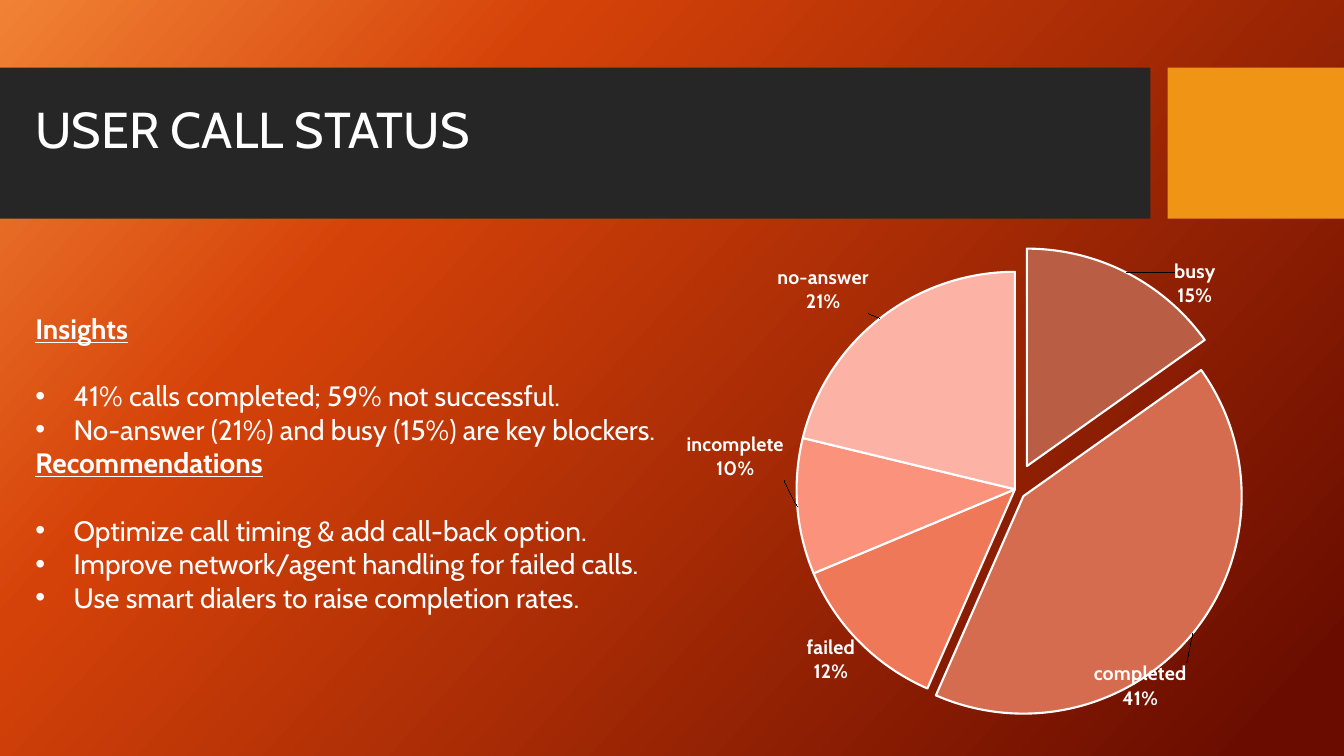
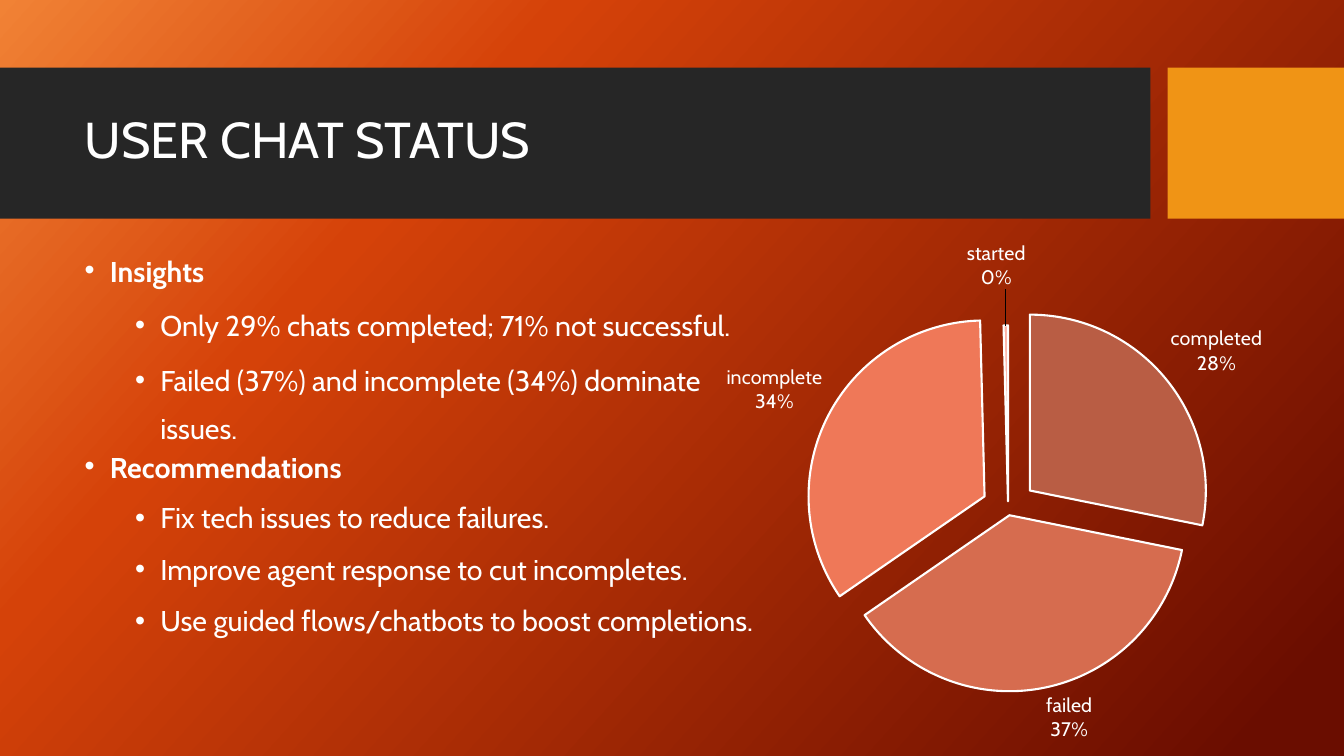
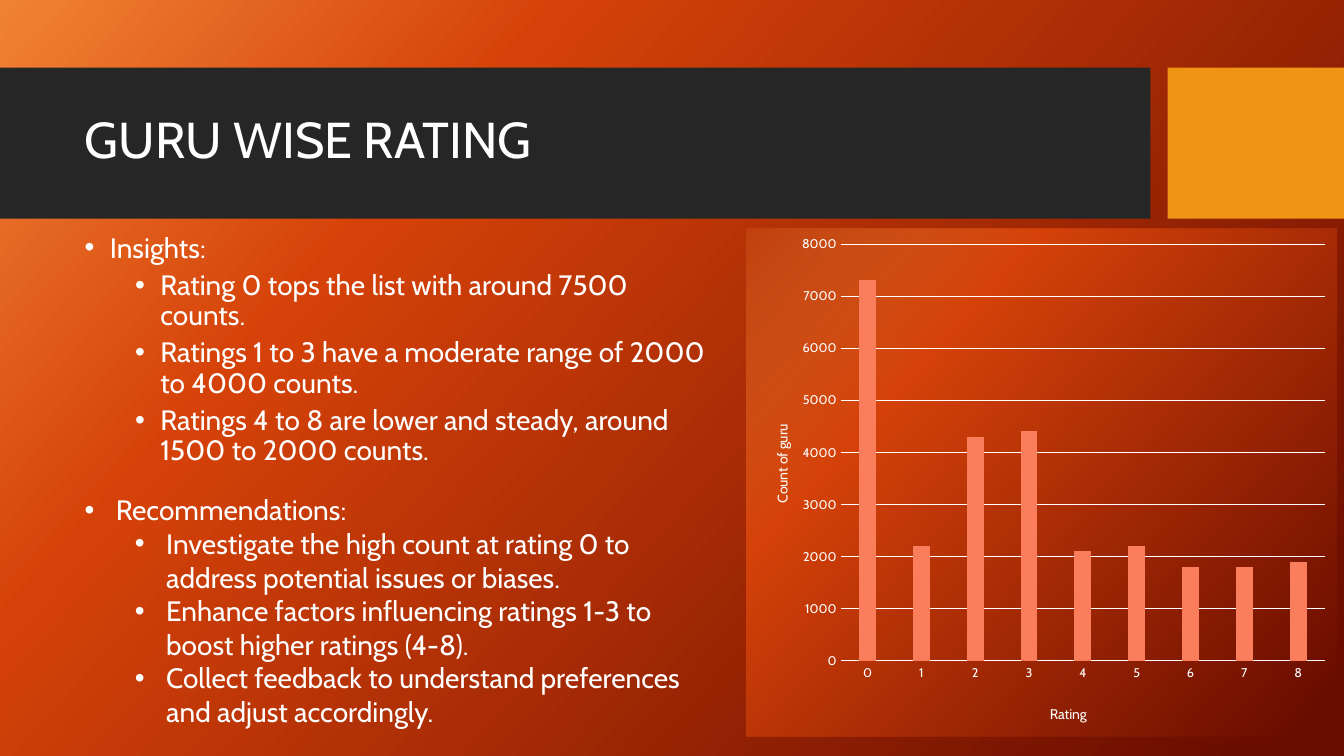
"""Build three slides on call status, chat status and ratings."""
from copy import deepcopy
from dataclasses import dataclass, replace

from pptx import Presentation
from pptx.chart.chart import Chart
from pptx.chart.data import CategoryChartData
from pptx.dml.color import RGBColor
from pptx.enum.chart import XL_CHART_TYPE, XL_LABEL_POSITION, XL_TICK_MARK
from pptx.enum.shapes import MSO_SHAPE
from pptx.enum.text import MSO_ANCHOR, MSO_AUTO_SIZE, PP_ALIGN
from pptx.oxml import parse_xml
from pptx.oxml.ns import nsdecls, qn
from pptx.slide import Slide
from pptx.text.text import Font, TextFrame
from pptx.util import Inches, Pt

PIE, COLUMN = XL_CHART_TYPE.PIE, XL_CHART_TYPE.COLUMN_CLUSTERED
OUTSIDE, NO_TICK = XL_LABEL_POSITION.OUTSIDE_END, XL_TICK_MARK.NONE
RECT, LEFT, NO_FIT = MSO_SHAPE.RECTANGLE, PP_ALIGN.LEFT, MSO_AUTO_SIZE.NONE
TOP, MIDDLE = MSO_ANCHOR.TOP, MSO_ANCHOR.MIDDLE

FACE = "Cabin"
WHITE, DARK, AMBER, CORAL = "FFFFFF", "262626", "F09415", "FA7E5C"
STOPS = ((0, "F18235"), (28, "D54209"), (95, "6A0D00"))
SLICES = ("B95D44", "D66C4F", "EF7858", "FB927B", "FCB2A5", "FDCCC4")
FLAGS = {"LegendKey": 0, "Val": 0, "CatName": 1, "SerName": 0, "Percent": 1, "BubbleSize": 0}


@dataclass(frozen=True)
class Box:
    """A place on the slide, in inches."""
    left: float
    top: float
    width: float
    height: float

    def emu(self) -> tuple:
        """Return the four lengths."""
        return tuple(Inches(n) for n in (self.left, self.top, self.width, self.height))


@dataclass(frozen=True)
class Band:
    """A filled bar behind every title."""
    box: Box
    fill: str


@dataclass(frozen=True)
class Style:
    """How a line of a list is set."""
    left: float = 0
    hang: float = 0
    level: int = 0
    space: float = 1.0
    before: float = 0
    bold: bool = False
    under: bool = False


@dataclass(frozen=True)
class Line:
    """One line of a list."""
    text: str
    style: Style


@dataclass(frozen=True)
class Slice:
    """One part of a pie; nudge moves its label."""
    name: str
    value: float | None
    burst: int | None = None
    nudge: tuple | None = None


@dataclass(frozen=True)
class Pie:
    """A pie chart with its inner plot frame."""
    box: Box
    plot: dict
    slices: tuple
    bold: bool = False
    burst: int = 0
    hidden: tuple = ()


BANDS = (Band(Box(0, 0.67, 11.41, 1.5), DARK), Band(Box(11.58, 0.67, 1.75, 1.5), AMBER))
TITLE = Box(0.74, 0.82, 10.51, 1.18)

HEAD = Style(bold=True, under=True)
ITEM = Style(0.38, 0.38)
FIRST = replace(ITEM, before=24)
CALLS = (
    Line("Insights", HEAD),
    Line("41% calls completed; 59% not successful.", FIRST),
    Line("No-answer (21%) and busy (15%) are key blockers.", ITEM),
    Line("Recommendations", HEAD),
    Line("Optimize call timing & add call-back option.", FIRST),
    Line("Improve network/agent handling for failed calls.", ITEM),
    Line("Use smart dialers to raise completion rates.", ITEM),
)
TOPIC = Style(0.25, 0.25, space=0.7, before=10, bold=True)
LOOSE = Style(0.75, 0.25, level=1, space=1.4, before=5)
SNUG = replace(LOOSE, space=1.3)
CHATS = (
    Line("Insights", TOPIC),
    Line("Only 29% chats completed; 71% not successful.", LOOSE),
    Line("Failed (37%) and incomplete (34%) dominate issues.", LOOSE),
    Line("Recommendations", TOPIC),
    Line("Fix tech issues to reduce failures.", SNUG),
    Line("Improve agent response to cut incompletes.", SNUG),
    Line("Use guided flows/chatbots to boost completions.", SNUG),
)
TIGHT = replace(LOOSE, space=0.9)
FACTS = (
    Line("Insights:", replace(TOPIC, space=0.9, bold=False)),
    Line("Rating 0 tops the list with around 7500 counts.", TIGHT),
    Line("Ratings 1 to 3 have a moderate range of 2000 to 4000 counts.", TIGHT),
    Line("Ratings 4 to 8 are lower and steady, around 1500 to 2000 counts.", TIGHT),
)
STEP = Style(0.81, 0.31, level=1)
STEPS = (
    Line("Recommendations:", Style(0.31, 0.31)),
    Line("Investigate the high count at rating 0 to address potential issues or biases.", STEP),
    Line("Enhance factors influencing ratings 1-3 to boost higher ratings (4-8).", STEP),
    Line("Collect feedback to understand preferences and adjust accordingly.", STEP),
)

CALL_PIE = Pie(
    Box(6.58, 2.09, 7.34, 5), {"x": 0.18, "y": 0.12, "w": 0.59, "h": 0.87},
    (Slice("busy", 15, 12, (0.06, 0.08)), Slice("completed", 41, 5, (-0.14, 0.05)),
     Slice("failed", 12, nudge=(0, -0.02)), Slice("incomplete", 10, nudge=(-0.01, -0.1)),
     Slice("no-answer", 21, nudge=(-0.01, 0)), Slice("(blank)", None)), bold=True)
CHAT_PIE = Pie(
    Box(5.39, 1.74, 9.31, 5.9), {"x": 0.3, "y": 0.23, "w": 0.39, "h": 0.66},
    (Slice("completed", 28, 16), Slice("failed", 37), Slice("incomplete", 34, 15),
     Slice("pending", 0), Slice("started", 0.4, nudge=(-0.01, -0.05)),
     Slice("(blank)", None)), burst=4, hidden=(3,))
COUNTS = (7300, 2200, 4300, 4400, 2100, 2200, 1800, 1800, 1900)


def shade(target, colour: str) -> None:
    """Give a fill or line one solid colour."""
    fill = getattr(target, "fill", target)
    fill.solid()
    fill.fore_color.rgb = RGBColor.from_string(colour)


def dress(font: Font, size: float, bold: bool = False) -> None:
    """Set the shared face and colour."""
    font.name, font.size, font.bold = FACE, Pt(size), bold
    font.color.rgb = RGBColor.from_string(WHITE)


def glow(alpha: int = 100):
    """Return the slanted gradient; alpha is that of its first stop."""
    stops = "".join(
        f'<a:gs pos="{pos * 1000}"><a:srgbClr val="{tone}">'
        f'<a:alpha val="{(100 if pos else alpha) * 1000}"/></a:srgbClr></a:gs>'
        for pos, tone in STOPS)
    return parse_xml(f'<a:gradFill {nsdecls("a")} rotWithShape="1"><a:gsLst>{stops}</a:gsLst>'
                     f'<a:lin ang="{42 * 60000}" scaled="0"/></a:gradFill>')


def node(tag: str, inner: str = "", value: float | None = None):
    """Return a new chart element."""
    val = "" if value is None else f' val="{value}"'
    return parse_xml(f'<c:{tag} {nsdecls("c")}{val}>{inner}</c:{tag}>')


def place(host, spot: int, where: dict, edge: bool = True) -> None:
    """Put a manual layout into a chart part."""
    old = host.find(qn("c:layout"))
    if old is not None:
        host.remove(old)
    target = '<c:layoutTarget val="inner"/>' if "w" in where else ""
    modes = '<c:xMode val="edge"/><c:yMode val="edge"/>' if edge else ""
    sides = "".join(f'<c:{key} val="{num}"/>' for key, num in where.items())
    host.insert(spot, node("layout", f"<c:manualLayout>{target}{modes}{sides}</c:manualLayout>"))


def write(frame: TextFrame, lines: tuple, size: float, anchor=TOP) -> None:
    """Fill a frame with a list."""
    frame.word_wrap, frame.auto_size, frame.vertical_anchor = True, NO_FIT, anchor
    frame.text = "\n".join(line.text for line in lines)
    for rank, (para, line) in enumerate(zip(frame.paragraphs, lines)):
        style = line.style
        para.level, para.line_spacing = style.level, style.space
        para.space_before = Pt(style.before if rank else 0)
        props = para._p.get_or_add_pPr()
        props.set("marL", str(Inches(style.left)))
        props.set("indent", str(-Inches(style.hang)))
        if style.hang:
            props.append(parse_xml(f'<a:buFont {nsdecls("a")} typeface="Arial"/>'))
            props.append(parse_xml(f'<a:buChar {nsdecls("a")} char="•"/>'))
        else:
            props.append(parse_xml(f'<a:buNone {nsdecls("a")}/>'))
        for run in para.runs:
            dress(run.font, size, style.bold)
            run.font.underline = style.under


def move(shape, box: Box) -> None:
    """Set the place of a shape."""
    shape.left, shape.top, shape.width, shape.height = box.emu()


def start(deck, title: str, box: Box, body: Box, lines: tuple, size: float, anchor=TOP) -> Slide:
    """Add a slide with its title and list."""
    slide = deck.slides.add_slide(deck.slide_layouts[1])
    head, text = slide.placeholders
    move(head, box)
    frame = head.text_frame
    frame.text = title
    frame.word_wrap, frame.auto_size, frame.vertical_anchor = True, NO_FIT, MIDDLE
    para = frame.paragraphs[0]
    para.alignment, para.line_spacing = LEFT, 0.9
    dress(para.runs[0].font, 36)
    move(text, body)
    write(text.text_frame, lines, size, anchor)
    return slide


def back(deck, slide: Slide) -> None:
    """Give the master its gradient and bands."""
    master = deck.slide_master
    master.background.fill.solid()
    props = master.element.find(".//" + qn("p:bgPr"))
    props.replace(props[0], glow())
    for rank, band in enumerate(BANDS):
        shape = slide.shapes.add_shape(RECT, *band.box.emu())
        shape.shadow.inherit = False
        shade(shape.fill, band.fill)
        shape.line.fill.background()
        shape.element.nvSpPr.cNvPr.set("id", str(20 + rank))
        master.element.cSld.spTree.insert(2 + rank, shape.element)


def graph(slide: Slide, kind, box: Box, names: tuple, values: tuple, plot: dict, fill) -> Chart:
    """Add a chart with the shared look."""
    data = CategoryChartData()
    data.categories = names
    data.add_series("Series 1", values)
    chart = slide.shapes.add_chart(kind, *box.emu(), data).chart
    chart.has_title = chart.has_legend = False
    dress(chart.font, 10)
    space = chart._chartSpace
    place(space.chart.plotArea, 0, plot)
    props = node("spPr")
    props.append(fill)
    props.append(parse_xml(f'<a:ln {nsdecls("a")}><a:noFill/></a:ln>'))
    space.chart.addnext(props)
    return chart


def add_pie(slide: Slide, pie: Pie) -> None:
    """Draw a pie with its labels."""
    names = tuple(part.name for part in pie.slices)
    values = tuple(part.value for part in pie.slices)
    empty = parse_xml(f'<a:noFill {nsdecls("a")}/>')
    chart = graph(slide, PIE, pie.box, names, values, pie.plot, empty)
    plot = chart.plots[0]
    plot.vary_by_categories = True
    series = plot.series[0]
    labels = series.data_labels
    labels.show_value = False
    labels.show_category_name = labels.show_percentage = True
    labels.position = OUTSIDE
    dress(labels.font, 14, pie.bold)
    root = series._element
    group = root.find(qn("c:dLbls"))
    group.find(qn("c:showBubbleSize")).addnext(node("separator", "\n"))
    flags = "".join(f'<c:show{key} val="{num}"/>' for key, num in FLAGS.items())
    spot = 0
    for rank, (part, tone) in enumerate(zip(pie.slices, SLICES)):
        look = series.points[rank].format
        shade(look.fill, tone)
        shade(look.line, WHITE)
        look.line.width = Pt(1.5)
        if part.burst:
            point = root.findall(qn("c:dPt"))[rank]
            point.find(qn("c:spPr")).addprevious(node("explosion", value=part.burst))
        if rank in pie.hidden:
            label = node("dLbl", f'<c:idx val="{rank}"/><c:delete val="1"/>')
        elif part.nudge:
            label = node("dLbl", f'<c:idx val="{rank}"/><c:dLblPos val="outEnd"/>{flags}'
                                 "<c:separator>\n</c:separator>")
            label.insert(1, deepcopy(group.find(qn("c:txPr"))))
            place(label, 1, dict(zip("xy", part.nudge)), edge=False)
        else:
            continue
        group.insert(spot, label)
        spot += 1
    if pie.burst:
        root.find(qn("c:dPt")).addprevious(node("explosion", value=pie.burst))


def add_bars(slide: Slide) -> None:
    """Draw the rating counts."""
    names = tuple(str(n) for n in range(len(COUNTS)))
    chart = graph(slide, COLUMN, Box(7.4, 2.27, 5.86, 5.04), names, COUNTS,
                  {"x": 0.16, "y": 0.03, "w": 0.82, "h": 0.82}, glow(16))
    plot = chart.plots[0]
    plot.vary_by_categories, plot.gap_width, plot.overlap = False, 219, -27
    shade(plot.series[0].format.fill, CORAL)
    across, upward = chart.category_axis, chart.value_axis
    for axis, name, turn, where in (
            (across, "Rating", 0, {"x": 0.51, "y": 0.93}),
            (upward, "Count of guru", -90, {"x": 0.04, "y": 0.38})):
        axis.major_tick_mark = axis.minor_tick_mark = NO_TICK
        dress(axis.tick_labels.font, 9)
        title = axis.axis_title
        title.text_frame.text = name
        dress(title.text_frame.paragraphs[0].runs[0].font, 10)
        root = title._element
        root.find(".//" + qn("a:bodyPr")).set("rot", str(turn * 60000))
        place(root, 1, where)
    upward.minimum_scale, upward.maximum_scale, upward.major_unit = 0, 8000, 1000
    upward.has_major_gridlines = True
    upward.format.line.fill.background()
    for line in (across.format.line, upward.major_gridlines.format.line):
        shade(line, WHITE)
        line.width = Pt(0.75)


def main() -> None:
    """Build and save the deck."""
    deck = Presentation()
    deck.slide_width, deck.slide_height = Inches(13.33), Inches(7.5)
    calls = start(deck, "USER CALL STATUS", Box(0.25, 0.72, 10.51, 1.18),
                  Box(0.25, 2.69, 6.42, 3.8), CALLS, 20, MIDDLE)
    back(deck, calls)
    add_pie(calls, CALL_PIE)
    chats = start(deck, "USER CHAT STATUS", TITLE, Box(0.74, 2.56, 6.89, 4.23), CHATS, 20.4)
    add_pie(chats, CHAT_PIE)
    rates = start(deck, "GURU WISE RATING", TITLE, Box(0.74, 2.27, 6.37, 2.28), FACTS, 20)
    add_bars(rates)
    steps = rates.shapes.add_textbox(*Box(0.74, 4.84, 6.37, 2.6).emu())
    write(steps.text_frame, STEPS, 20)
    deck.save("out.pptx")


if __name__ == "__main__":
    main()
